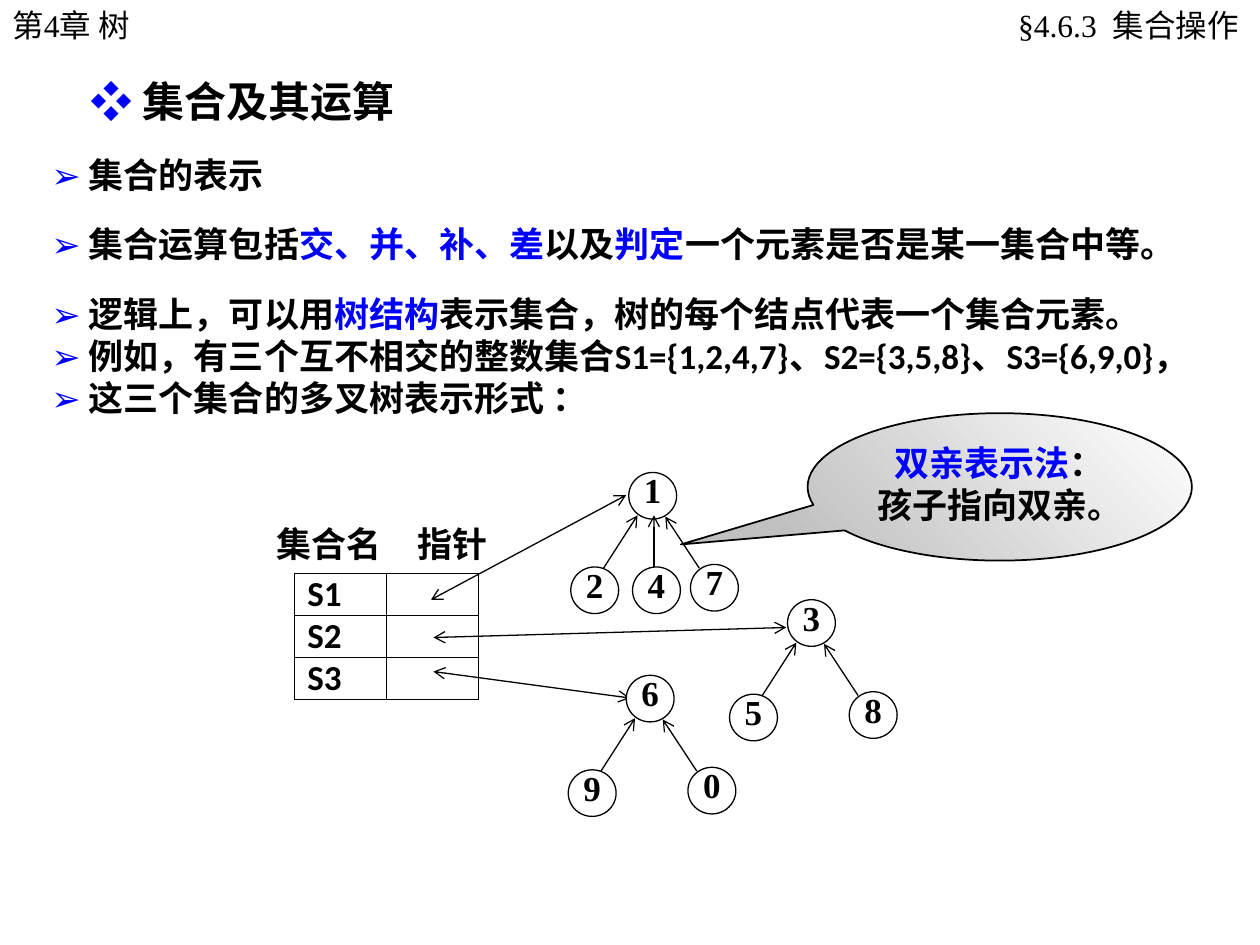
from lxml.etree import SubElement
from pptx import Presentation
from pptx.dml.color import RGBColor
from pptx.enum.shapes import MSO_CONNECTOR, MSO_SHAPE
from pptx.enum.text import MSO_ANCHOR, PP_ALIGN
from pptx.oxml.ns import qn
from pptx.util import Inches, Pt

BLACK = RGBColor(0x00, 0x00, 0x00)
BLUE = RGBColor(0x00, 0x00, 0xFF)
WHITE = RGBColor(0xFF, 0xFF, 0xFF)
GREY = RGBColor(0xC0, 0xC0, 0xC0)
CJK = "Noto Sans CJK SC"
SERIF = "Times New Roman"

BODY = {"name": "Calibri", "size": Pt(20), "bold": True}
TITLE = {**BODY, "size": Pt(24)}
HEADER = {"name": SERIF, "size": Pt(18), "bold": False}
LABEL = {**BODY, "name": CJK}
NODE = {**BODY, "name": SERIF}

NODE_W, NODE_H = 0.38, 0.37
# Child position and link ends (parent, child), relative to the parent's corner
BRANCHES = {
    "left": ((-0.46, 0.75), (0.07, 0.34), (-0.2, 0.76)),
    "middle": ((0.03, 0.75), (0.2, 0.34), (0.2, 0.75)),
    "right": ((0.49, 0.73), (0.29, 0.35), (0.56, 0.76)),
}


class SlideBuilder:
    def __init__(self, prs):
        self.slide = prs.slides.add_slide(prs.slide_layouts[6])
        self.shapes = self.slide.shapes

    def fill_text(self, tf, paragraphs, style, align=PP_ALIGN.LEFT, spacing=None, **frame):
        """Fill a text frame; each paragraph is a list of (text, colour) runs."""
        for key, value in frame.items():
            setattr(tf, key, value)
        for i, runs in enumerate(paragraphs):
            p = tf.paragraphs[0] if i == 0 else tf.add_paragraph()
            p.alignment, p.line_spacing = align, spacing
            for text, color in runs:
                r = p.add_run()
                r.text = text
                for key, value in style.items():
                    setattr(r.font, key, value)
                r.font.color.rgb = color
                SubElement(r.font._element, qn("a:ea"), typeface=CJK)

    def text(self, box, paragraphs, style=BODY, **options):
        sp = self.shapes.add_textbox(*map(Inches, box))
        self.fill_text(sp.text_frame, paragraphs, style, **{"word_wrap": True, **options})

    def shape(self, kind, box, paragraphs, style=BODY, line=0.75, **options):
        sp = self.shapes.add_shape(kind, *map(Inches, box))
        sp.shadow.inherit = False
        sp.fill.solid()
        sp.fill.fore_color.rgb = WHITE
        if line:
            sp.line.color.rgb = BLACK
            sp.line.width = Pt(line)
        else:
            sp.line.fill.background()
        self.fill_text(sp.text_frame, paragraphs, style, PP_ALIGN.CENTER, **options)
        return sp

    def compact(self, kind, box, label, style, **options):
        """Shape with one centred label and no margins."""
        margins = {f"margin_{side}": 0 for side in ("left", "top", "right", "bottom")}
        self.shape(kind, box, [[(label, BLACK)]], style, word_wrap=False,
                   vertical_anchor=MSO_ANCHOR.MIDDLE, **margins, **options)

    def callout(self, box, tip, paragraphs):
        sp = self.shape(MSO_SHAPE.OVAL_CALLOUT, box, paragraphs, line=1,
                        vertical_anchor=MSO_ANCHOR.TOP)
        sp.adjustments[0], sp.adjustments[1] = tip
        sp.fill.gradient()
        sp.fill.gradient_angle = 45
        for stop, color, position in zip(sp.fill.gradient_stops, (GREY, WHITE), (0, 1)):
            stop.color.rgb = color
            stop.position = position

    def arrow(self, start, end, ends=("headEnd",)):
        sp = self.shapes.add_connector(MSO_CONNECTOR.STRAIGHT, *map(Inches, (*start, *end)))
        sp.line.color.rgb = BLACK
        sp.line.width = Pt(0.75)
        ln = sp.line._get_or_add_ln()
        for tag in ends:
            SubElement(ln, qn(f"a:{tag}"), type="arrow")
        SubElement(sp._element.spPr, qn("a:effectLst"))

    def node(self, x, y, label):
        self.compact(MSO_SHAPE.OVAL, (x, y, NODE_W, NODE_H), label, NODE, spacing=0.64)

    def tree(self, x, y, root, children):
        self.node(x, y, root)
        for side, label in children.items():
            (dx, dy), *link = BRANCHES[side]
            self.node(x + dx, y + dy, label)
            self.arrow(*[(x + lx, y + ly) for lx, ly in link])

    def table(self, box, rows):
        table = self.shapes.add_table(len(rows), len(rows[0]), *map(Inches, box)).table
        table.first_row = table.horz_banding = False
        for i, row in enumerate(rows):
            for j, text in enumerate(row):
                cell = table.cell(i, j)
                cell.margin_left, cell.margin_top, cell.margin_bottom = Inches(0.1), 0, 0
                self.fill_text(cell.text_frame, [[(text, BLACK)]], BODY)
                tcPr = cell._tc.get_or_add_tcPr()
                for tag in ("lnL", "lnR", "lnT", "lnB"):
                    ln = SubElement(tcPr, qn(f"a:{tag}"), w=str(Pt(0.75)))
                    fill = SubElement(ln, qn("a:solidFill"))
                    SubElement(fill, qn("a:srgbClr"), val=str(BLACK))
                cell.fill.solid()
                cell.fill.fore_color.rgb = WHITE


def main():
    prs = Presentation()
    prs.slide_width, prs.slide_height = Inches(10), Inches(7.5)
    s = SlideBuilder(prs)
    bullet = ("➢ ", BLUE)

    s.text((0.62, 0.55, 2.62, 0.5), [[("❖ ", BLUE), ("集合及其运算", BLACK)]],
           TITLE, word_wrap=False)
    s.text((0, 0, 2.09, 0.4), [[("第4章 树", BLACK)]], HEADER)
    s.text((6.18, 0, 3.81, 0.4), [[("§4.6.3  集合操作", BLACK)]], HEADER,
           align=PP_ALIGN.RIGHT, margin_left=Inches(0.12), margin_right=Inches(0.16))

    s.text((0.31, 1.17, 1.91, 0.44), [[bullet, ("集合的表示", BLACK)]], word_wrap=False)
    s.text((0.31, 1.72, 9.45, 0.44), [[
        bullet, ("集合运算包括", BLACK), ("交、并、补、差", BLUE), ("以及", BLACK),
        ("判定", BLUE), ("一个元素是否是某一集合中等。", BLACK)]])
    s.text((0.31, 2.27, 9.48, 1.11), [
        [bullet, ("逻辑上，可以用", BLACK), ("树结构", BLUE),
         ("表示集合，树的每个结点代表一个集合元素。", BLACK)],
        [bullet, ("例如，有三个互不相交的整数集合S1={1,2,4,7}、S2={3,5,8}、S3={6,9,0}，", BLACK),
         (" ➢ ", BLUE), ("这三个集合的多叉树表示形式 ：", BLACK)]])

    for x, w, label in ((2.11, 1.01, "集合名"), (3.2, 0.78, "指针")):
        s.compact(MSO_SHAPE.RECTANGLE, (x, 4.14, w, 0.34), label, LABEL, line=0)
    s.table((2.34, 4.55, 1.46, 0.99), [("S1", ""), ("S2", ""), ("S3", "")])

    for start, end in (((3.42, 4.76), (4.97, 3.93)),
                       ((3.44, 5.06), (6.24, 4.98)),
                       ((3.44, 5.33), (5, 5.54))):
        s.arrow(start, end, ("headEnd", "tailEnd"))
    s.tree(4.99, 3.75, "1", {"left": "2", "middle": "4", "right": "7"})
    s.tree(6.25, 4.76, "3", {"left": "5", "right": "8"})
    s.tree(4.97, 5.36, "6", {"left": "9", "right": "0"})

    s.callout((6.41, 3.28, 3.05, 1.17), (-0.83, 0.39),
              [[("双亲表示法", BLUE), ("：", BLACK)], [("孩子指向双亲。", BLACK)]])
    prs.save("out.pptx")


if __name__ == "__main__":
    main()
